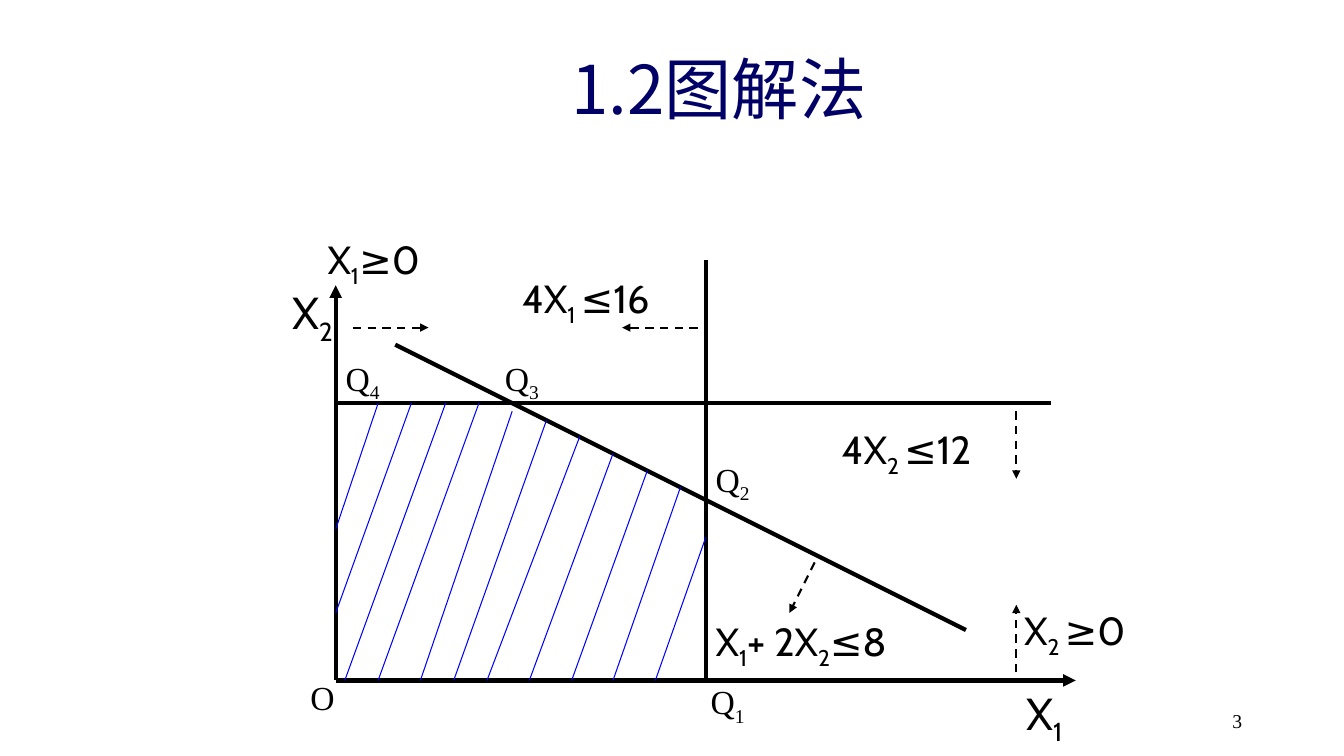
from lxml import etree
from pptx import Presentation
from pptx.dml.color import RGBColor
from pptx.enum.dml import MSO_LINE
from pptx.enum.shapes import MSO_CONNECTOR
from pptx.enum.text import MSO_ANCHOR, MSO_AUTO_SIZE, PP_ALIGN
from pptx.oxml.ns import qn
from pptx.util import Inches, Pt

STRAIGHT = MSO_CONNECTOR.STRAIGHT
DASH = MSO_LINE.DASH
TOP, MIDDLE = MSO_ANCHOR.TOP, MSO_ANCHOR.MIDDLE
LEFT, CENTER, RIGHT = PP_ALIGN.LEFT, PP_ALIGN.CENTER, PP_ALIGN.RIGHT
FIT, FIXED = MSO_AUTO_SIZE.SHAPE_TO_FIT_TEXT, MSO_AUTO_SIZE.NONE

BLACK = RGBColor(0x00, 0x00, 0x00)
NAVY = RGBColor(0x00, 0x00, 0x66)
BLUE = RGBColor(0x00, 0x00, 0xFF)
SANS, SERIF, CHINESE = "Cabin", "Times New Roman", "Noto Sans CJK SC"

# Content: text between bars is a subscript; boxes are left, top, width, height
TITLE = "1.2图解法"
PAGE_NUMBER = "3"
AXIS_LABELS = [
    ("X|2", (2.8, 2.78, 0.63, 0.64)),
    ("X|1", (10.08, 6.75, 0.63, 0.64)),
]
CONSTRAINTS = [
    ("4X|1 |≤16", (5.08, 2.67, 1.58, 0.57)),
    ("4X|2 |≤12", (8.25, 4.17, 1.58, 0.57)),
    ("X|1|+ 2X|2|≤8", (7, 6.08, 2.03, 0.57)),
]
SIGN_LIMITS = [
    ("X|1|≥0", (3.15, 2.35, 1.48, 0.5)),
    ("X|2 |≥0", (10.06, 6.03, 1.44, 0.5)),
]
CORNERS = [
    ("Q|1", (6.95, 6.71)),
    ("Q|2", (7, 4.5)),
    ("Q|3", (4.91, 3.5)),
    ("Q|4", (3.33, 3.5)),
    ("O", (2.98, 6.67)),
]

# Lines: start x, start y, end x, end y
ORIGIN_X, ORIGIN_Y = 3.33, 6.75
AXES = [
    (ORIGIN_X, ORIGIN_Y, ORIGIN_X, 2.83),
    (ORIGIN_X, ORIGIN_Y, 10.67, ORIGIN_Y),
]
BOUNDARIES = [
    (7, ORIGIN_Y, 7, 2.58),
    (ORIGIN_X, 4, 10.42, 4),
    (3.92, 3.42, 9.58, 6.25),
]
DIRECTIONS = [
    (3.5, 3.25, 4.25, 3.25),
    (10.08, 6.67, 10.08, 6),
    (6.92, 3.25, 6.17, 3.25),
    (10.08, 4.08, 10.08, 4.75),
    (8.08, 5.58, 7.83, 6.08),
]
# Hatching: strokes that end on the vertical axis, then those that end on the horizontal axis
SIDE_HATCHES = [(3.75, 4, 5.25), (4.08, 4, 6.08)]
BASE_HATCHES = [
    (4.42, 4, 3.42), (4.75, 4, 3.75), (5.08, 4.08, 4.17),
    (5.42, 4.17, 4.5), (5.75, 4.33, 4.83), (6.08, 4.5, 5.25),
    (6.42, 4.67, 5.67), (6.75, 4.83, 6.08), (7, 5.33, 6.5),
]


def write_text(box, text, font=SANS, size=28, color=BLACK, align=LEFT,
               anchor=TOP, wrap=True, fit=FIXED):
    frame = box.text_frame
    frame.word_wrap = wrap
    frame.auto_size = fit
    frame.vertical_anchor = anchor
    para = frame.paragraphs[0]
    para.alignment = align
    for index, part in enumerate(text.split("|")):
        span = para.add_run()
        span.text = part
        span.font.name = font
        span.font.size = Pt(size)
        span.font.color.rgb = color
        properties = span.font._element
        etree.SubElement(properties, qn("a:ea")).set("typeface", font)
        if index % 2:
            properties.set("baseline", "-25000")


def add_label(page, text, place, **style):
    box = page.shapes.add_textbox(*(Inches(value) for value in place))
    write_text(box, text, **style)


def add_line(page, ends, width=3, color=BLACK, dash=None, arrow=False):
    line = page.shapes.add_connector(STRAIGHT, *(Inches(value) for value in ends))
    line.line.width = Pt(width)
    line.line.color.rgb = color
    if dash:
        line.line.dash_style = dash
    if arrow:
        tail = etree.SubElement(line.line._get_or_add_ln(), qn("a:tailEnd"))
        tail.set("type", "triangle")
    etree.SubElement(line._element.spPr, qn("a:effectLst"))


def main():
    deck = Presentation()
    deck.slide_width, deck.slide_height = Inches(13.33), Inches(7.5)
    page = deck.slides.add_slide(deck.slide_layouts[5])

    # Title and page number
    title = page.shapes.title
    title.left, title.top = Inches(3.92), Inches(0.42)
    title.width, title.height = Inches(6.42), Inches(1.17)
    write_text(title, TITLE, font=CHINESE, size=48, color=NAVY, align=CENTER)
    add_label(page, PAGE_NUMBER, (9.42, 6.95, 3, 0.4), font=SERIF, size=14,
              align=RIGHT, anchor=MIDDLE)

    # Axes, constraint boundaries and the side each one allows
    for ends in AXES:
        add_line(page, ends, arrow=True)
    for ends in BOUNDARIES:
        add_line(page, ends)
    for ends in DIRECTIONS:
        add_line(page, ends, width=1.5, dash=DASH, arrow=True)

    # Hatching of the feasible region
    hatches = [(x, y, ORIGIN_X, foot) for x, y, foot in SIDE_HATCHES]
    hatches += [(x, y, foot, ORIGIN_Y) for x, y, foot in BASE_HATCHES]
    for ends in hatches:
        add_line(page, ends, width=0.75, color=BLUE)

    # Labels
    for text, place in AXIS_LABELS:
        add_label(page, text, place, size=32, wrap=False, fit=FIT)
    for text, place in CONSTRAINTS:
        add_label(page, text, place, wrap=False, fit=FIT)
    for text, place in SIGN_LIMITS:
        add_label(page, text, place, anchor=MIDDLE)
    for text, corner in CORNERS:
        add_label(page, text, (*corner, 0.67, 0.5), font=SERIF, size=24, fit=FIT)

    deck.save("out.pptx")


if __name__ == "__main__":
    main()
